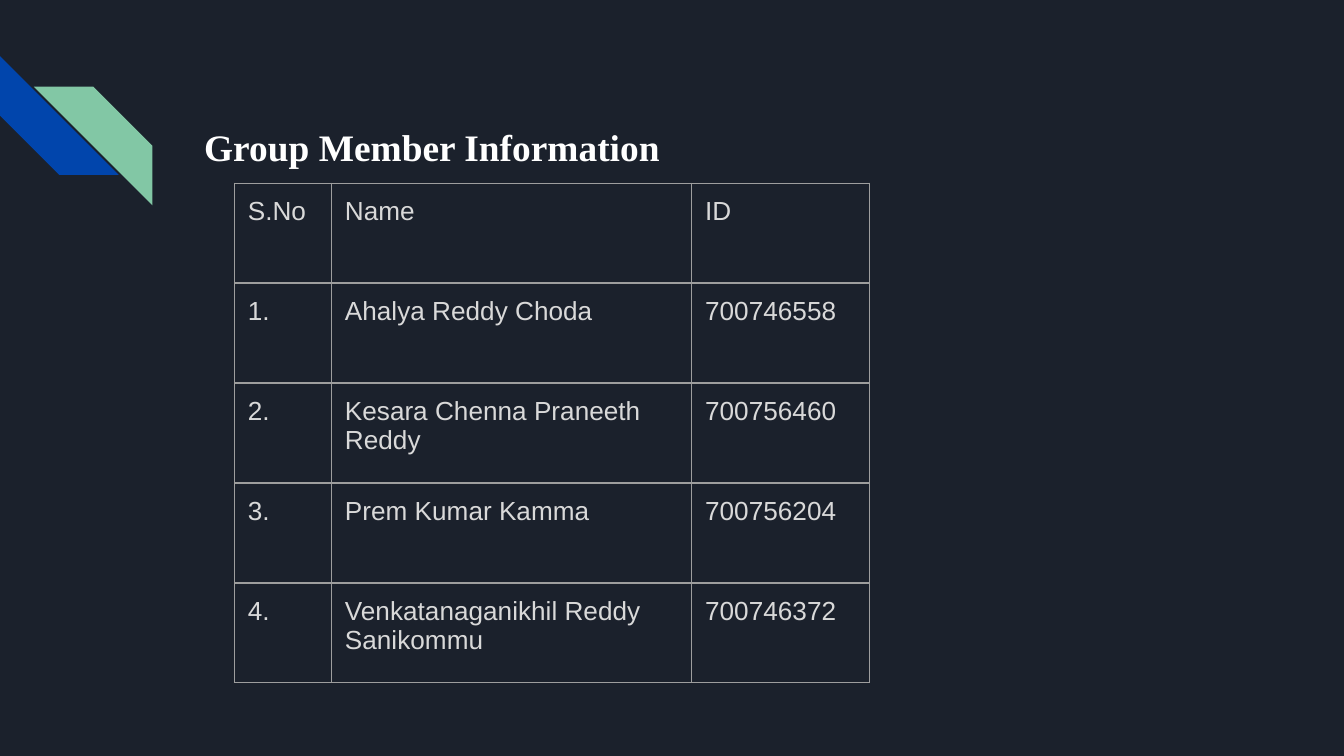
"""Build the group member slide with a title, corner stripes and a table."""
import pptx
import pptx.dml.color
import pptx.enum.shapes
import pptx.enum.text
import pptx.oxml
import pptx.oxml.ns
import pptx.util

Pt = pptx.util.Pt


def rgb(value):
    return pptx.dml.color.RGBColor.from_string(value)


class Deck:
    back, blue, green = "1B212C", "0145AC", "82C7A5"
    white, text, line = "FFFFFF", "D9D9D9", "9E9E9E"
    inset = 7.2

    def __init__(self, width, height):
        self.prs = pptx.Presentation()
        self.prs.slide_width, self.prs.slide_height = Pt(width), Pt(height)
        self.s = self.prs.slides.add_slide(self.prs.slide_layouts[5])
        self.s.background.fill.solid()
        self.s.background.fill.fore_color.rgb = rgb(self.back)

    def run(self, p, text, font, size, color, bold=False):
        r = p.add_run()
        r.text = text
        r.font.name, r.font.size, r.font.bold = font, Pt(size), bold
        r.font.color.rgb = rgb(color)

    def stripe(self, x, y, size, color, rotation):
        kind = pptx.enum.shapes.MSO_SHAPE.DIAGONAL_STRIPE
        sp = self.s.shapes.add_shape(kind, Pt(x), Pt(y), Pt(size), Pt(size))
        sp.rotation = rotation
        sp.shadow.inherit = False
        sp.fill.solid()
        sp.fill.fore_color.rgb = rgb(color)
        sp.line.fill.background()

    def title(self, text, x, y, w, h):
        sp = self.s.shapes.title
        sp.left, sp.top, sp.width, sp.height = Pt(x), Pt(y), Pt(w), Pt(h)
        tf = sp.text_frame
        tf.word_wrap = True
        tf.auto_size = pptx.enum.text.MSO_AUTO_SIZE.NONE
        tf.vertical_anchor = pptx.enum.text.MSO_ANCHOR.BOTTOM
        tf.margin_left = tf.margin_right = tf.margin_top = Pt(self.inset)
        tf.margin_bottom = Pt(11)
        p = tf.paragraphs[0]
        p.alignment = pptx.enum.text.PP_ALIGN.LEFT
        p.line_spacing = 1.15
        self.run(p, text, "Times New Roman", 20, self.white, True)

    def borders(self, cell):
        pr = cell._tc.get_or_add_tcPr()
        for i, side in enumerate(("lnL", "lnR", "lnT", "lnB")):
            pr.insert(i, pptx.oxml.parse_xml(
                f'<a:{side} {pptx.oxml.ns.nsdecls("a")} w="{Pt(0.75)}"><a:solidFill>'
                f'<a:srgbClr val="{self.line}"/></a:solidFill></a:{side}>'))

    def table(self, rows, x, y, widths, row_height):
        frame = self.s.shapes.add_table(
            len(rows), len(widths), Pt(x), Pt(y),
            Pt(sum(widths)), Pt(row_height * len(rows)))
        table = frame.table
        table.first_row = table.horz_banding = False
        for column, width in zip(table.columns, widths):
            column.width = Pt(width)
        for row, values in zip(table.rows, rows):
            row.height = Pt(row_height)
            for cell, value in zip(row.cells, values):
                cell.margin_left = cell.margin_right = Pt(self.inset)
                cell.margin_top = cell.margin_bottom = Pt(self.inset)
                cell.fill.background()
                self.borders(cell)
                p = cell.text_frame.paragraphs[0]
                self.run(p, value, "Arial", 14, self.text)


def main():
    deck = Deck(720, 405)
    deck.stripe(0, 30.1, 63.6, deck.blue, 270)
    deck.stripe(18.1, 46.4, 63.6, deck.green, 90)
    deck.title("Group Member Information", 102.2, 31, 554.4, 70.6)
    members = [
        ("Ahalya Reddy Choda", "700746558"),
        ("Kesara Chenna Praneeth Reddy", "700756460"),
        ("Prem Kumar Kamma", "700756204"),
        ("Venkatanaganikhil Reddy Sanikommu", "700746372"),
    ]
    rows = [("S.No", "Name", "ID")]
    rows += [(f"{i}.", *member) for i, member in enumerate(members, 1)]
    deck.table(rows, 125.6, 98.1, [52, 193, 95.2], 53.55)
    deck.prs.save("out.pptx")


if __name__ == "__main__":
    main()
